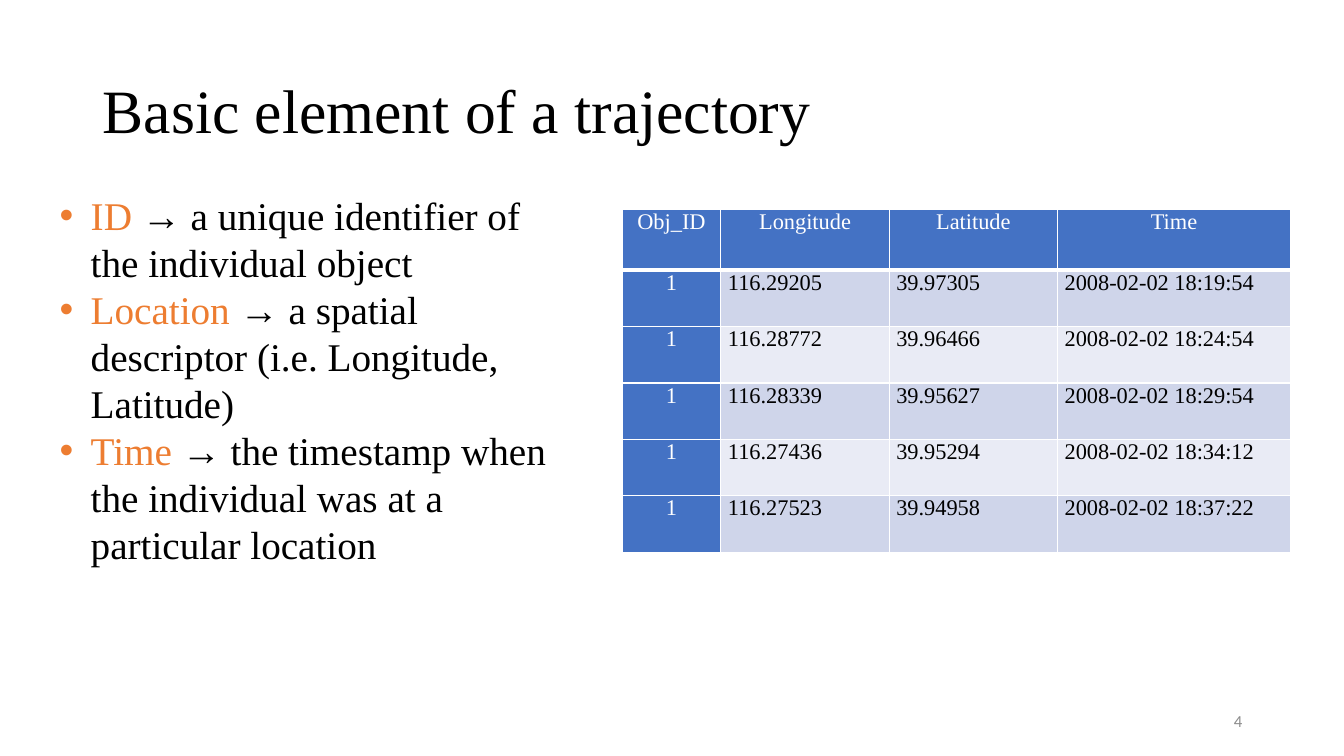
import dataclasses
import typing

import pptx
import pptx.dml.color
import pptx.enum.text
import pptx.oxml
import pptx.oxml.ns
import pptx.util

Inches = pptx.util.Inches
Pt = pptx.util.Pt
Align = pptx.enum.text.PP_ALIGN
Anchor = pptx.enum.text.MSO_ANCHOR


@dataclasses.dataclass(frozen=True)
class Theme:
    serif: str = "Times New Roman"
    sans: str = "Calibri"
    ink: str = "000000"
    paper: str = "FFFFFF"
    accent: str = "ED7D31"
    muted: str = "8C8C8C"
    header: str = "4472C4"
    bands: tuple[str, str] = ("CFD5EA", "E9EBF5")
    title_size: float = 44
    list_size: float = 28
    list_leading: float = 33.6
    table_size: float = 16
    number_size: float = 12


class Element(typing.NamedTuple):
    term: str
    meaning: str


class Point(typing.NamedTuple):
    obj_id: str
    longitude: str
    latitude: str
    time: str


THEME = Theme()
ELEMENTS = [
    Element("ID ", "→ a unique identifier of the individual object"),
    Element("Location ", "→ a spatial descriptor (i.e. Longitude, Latitude)"),
    Element("Time ", "→ the timestamp when the individual was at a particular location"),
]
HEADINGS = Point("Obj_ID", "Longitude", "Latitude", "Time")
TRAJECTORY = [
    Point("1", "116.29205", "39.97305", "2008-02-02 18:19:54"),
    Point("1", "116.28772", "39.96466", "2008-02-02 18:24:54"),
    Point("1", "116.28339", "39.95627", "2008-02-02 18:29:54"),
    Point("1", "116.27436", "39.95294", "2008-02-02 18:34:12"),
    Point("1", "116.27523", "39.94958", "2008-02-02 18:37:22"),
]
COLUMN_WIDTHS = (0.98, 1.67, 1.67, 2.31)
HEADER_HEIGHT, POINT_HEIGHT = 0.6, 0.56


def rgb(colour: str) -> pptx.dml.color.RGBColor:
    return pptx.dml.color.RGBColor.from_string(colour)


def add_run(paragraph, text: str, size: float, colour: str, font: str = THEME.serif) -> None:
    run = paragraph.add_run()
    run.text = text
    run.font.size = Pt(size)
    run.font.name = font
    run.font.color.rgb = rgb(colour)


def place(shape, left: float, top: float, width: float, height: float) -> None:
    shape.left, shape.top = Inches(left), Inches(top)
    shape.width, shape.height = Inches(width), Inches(height)


def set_frame(frame, anchor) -> None:
    frame.word_wrap = True
    frame.auto_size = pptx.enum.text.MSO_AUTO_SIZE.NONE
    frame.vertical_anchor = anchor


def add_title(slide) -> None:
    title = slide.shapes.title
    place(title, 0.92, 0.4, 11.5, 1.45)
    set_frame(title.text_frame, Anchor.MIDDLE)
    heading = title.text_frame.paragraphs[0]
    heading.alignment = Align.LEFT
    heading.line_spacing = 0.9
    add_run(heading, "Basic element of a trajectory", THEME.title_size, THEME.ink)


def add_elements(slide, elements: list[Element]) -> None:
    body = slide.placeholders[1]
    place(body, 0.49, 1.85, 5.29, 3.87)
    frame = body.text_frame
    set_frame(frame, Anchor.TOP)
    for index, element in enumerate(elements):
        item = frame.add_paragraph() if index else frame.paragraphs[0]
        item.space_before = Pt(0)
        item.line_spacing = Pt(THEME.list_leading)
        properties = item._p.get_or_add_pPr()
        properties.set("marL", str(Inches(0.31)))
        properties.set("indent", str(-Inches(0.31)))
        add_run(item, element.term, THEME.list_size, THEME.accent)
        add_run(item, element.meaning, THEME.list_size, THEME.ink)


def set_borders(cell, bottom_width: float) -> None:
    """Draw the four cell borders; their XML must come before the fill."""
    properties = cell._tc.get_or_add_tcPr()
    widths = {"lnL": 1, "lnR": 1, "lnT": 1, "lnB": bottom_width}
    for position, (side, width) in enumerate(widths.items()):
        border = pptx.oxml.parse_xml(
            f'<a:{side} {pptx.oxml.ns.nsdecls("a")} w="{Pt(width)}"><a:solidFill>'
            f'<a:srgbClr val="{THEME.paper}"/></a:solidFill></a:{side}>'
        )
        properties.insert(position, border)


def fill_cell(cell, text: str, row: int, column: int) -> None:
    is_heading = row == 0 or column == 0
    cell.margin_left = cell.margin_right = Inches(0.07)
    cell.margin_top = cell.margin_bottom = 0
    cell.fill.solid()
    cell.fill.fore_color.rgb = rgb(THEME.header if is_heading else THEME.bands[(row - 1) % 2])
    set_borders(cell, 3 if row == 0 else 1)
    paragraph = cell.text_frame.paragraphs[0]
    paragraph.alignment = Align.CENTER if is_heading else Align.JUSTIFY
    add_run(paragraph, text, THEME.table_size, THEME.paper if is_heading else THEME.ink)


def add_trajectory(slide, points: list[Point]) -> None:
    rows = [HEADINGS, *points]
    heights = [HEADER_HEIGHT] + [POINT_HEIGHT] * len(points)
    table = slide.shapes.add_table(
        len(rows), len(COLUMN_WIDTHS), Inches(6.17), Inches(2.08),
        Inches(sum(COLUMN_WIDTHS)), Inches(sum(heights)),
    ).table
    table.first_col = True
    for column, width in zip(table.columns, COLUMN_WIDTHS):
        column.width = Inches(width)
    for row, (values, height) in enumerate(zip(rows, heights)):
        table.rows[row].height = Inches(height)
        for column, value in enumerate(values):
            fill_cell(table.cell(row, column), value, row, column)


def add_page_number(slide, number: str) -> None:
    page_number = slide.shapes.add_textbox(Inches(9.42), Inches(6.95), Inches(3), Inches(0.4))
    set_frame(page_number.text_frame, Anchor.MIDDLE)
    paragraph = page_number.text_frame.paragraphs[0]
    paragraph.alignment = Align.RIGHT
    add_run(paragraph, number, THEME.number_size, THEME.muted, THEME.sans)


def main() -> None:
    presentation = pptx.Presentation()
    presentation.slide_width = Inches(13.33)
    presentation.slide_height = Inches(7.5)
    slide = presentation.slides.add_slide(presentation.slide_layouts[1])
    add_title(slide)
    add_trajectory(slide, TRAJECTORY)
    add_elements(slide, ELEMENTS)
    add_page_number(slide, "4")
    presentation.save("out.pptx")


if __name__ == "__main__":
    main()
